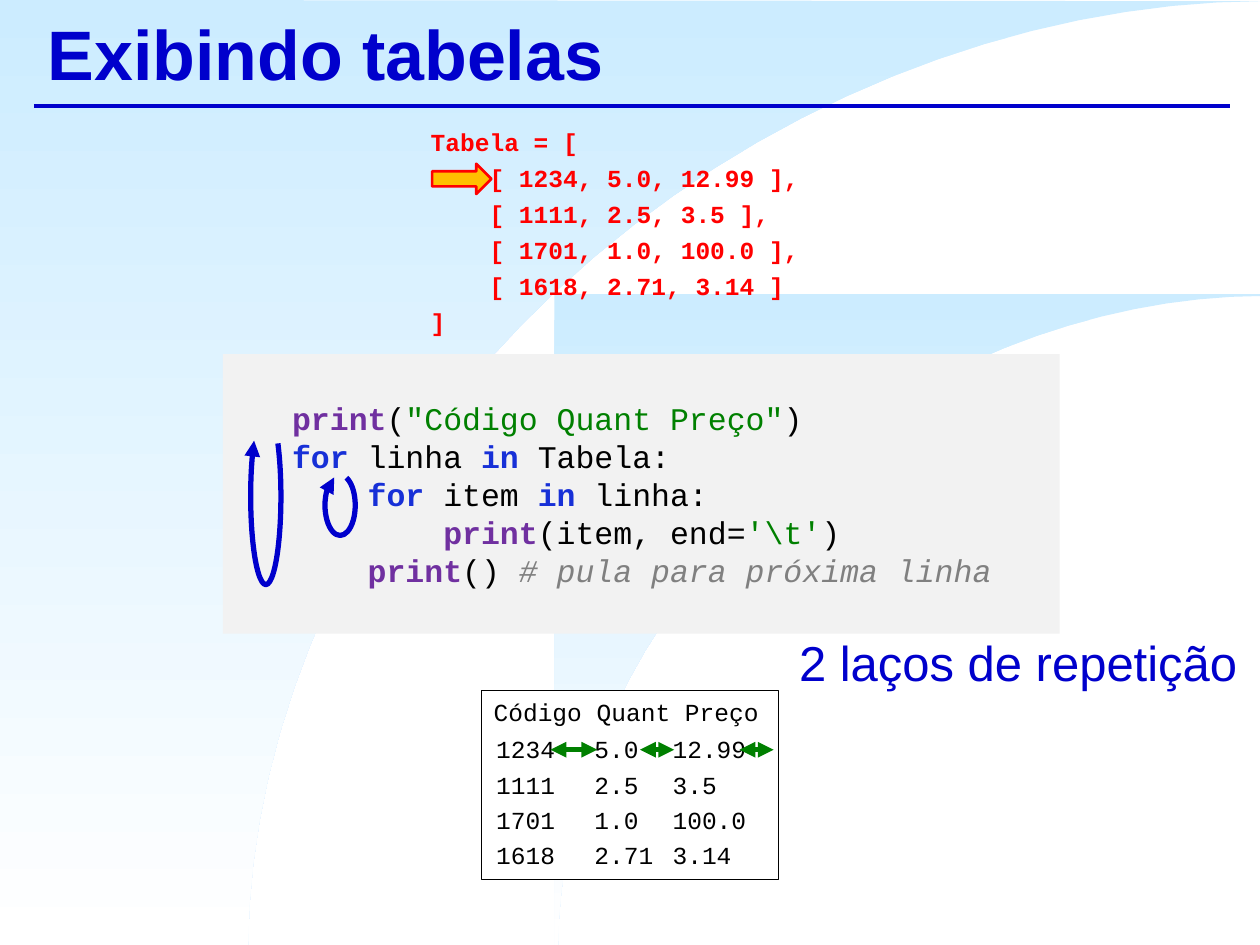
from dataclasses import dataclass
from math import cos, pi, sin

from lxml.etree import SubElement
from pptx import Presentation
from pptx.dml.color import RGBColor as RGB
from pptx.enum.shapes import MSO_CONNECTOR as LINE, MSO_SHAPE as SHAPE
from pptx.enum.text import MSO_ANCHOR as ANCHOR, PP_ALIGN as ALIGN
from pptx.oxml.ns import qn
from pptx.util import Inches, Pt


@dataclass(frozen=True)
class Theme:
    sans: str = "Arial"
    mono: str = "Courier New"
    title: int = 40
    note: int = 28
    code: int = 18
    data: int = 14
    space: float = 3.8
    blue: str = "0000CC"
    sky: str = "CCECFF"
    white: str = "FFFFFF"
    black: str = "000000"
    panel: str = "F2F2F2"
    red: str = "FF0000"
    amber: str = "FFC000"
    green: str = "008000"
    keyword: str = "1730D7"
    function: str = "7030A0"
    comment: str = "808080"


class SlideBuilder:
    def __init__(self, slide, theme):
        self.shapes = slide.shapes
        self.theme = theme

    def paint(self, shape, fill=None, line=None, width=1.0):
        shape.shadow.inherit = False
        if fill:
            shape.fill.solid()
            shape.fill.fore_color.rgb = RGB.from_string(fill)
        else:
            shape.fill.background()
        if line:
            self.stroke(shape, line, width)
        else:
            shape.line.fill.background()

    def stroke(self, shape, color, width, ends=()):
        shape.line.color.rgb = RGB.from_string(color)
        shape.line.width = Pt(width)
        for end in ends:
            SubElement(shape._element.spPr.find(qn("a:ln")), qn(f"a:{end}"), type="triangle")

    def shape(self, kind, box, **look):
        shape = self.shapes.add_shape(kind, *map(Inches, box))
        self.paint(shape, **look)
        return shape

    def curve(self, start, crest, corners):
        """Gradient area outside a rounded quarter arc."""
        steps, power = 32, 2 / 1.9
        angles = [pi / 2 * i / steps for i in range(steps + 1)]
        arc = [(10 - (10 - start) * max(cos(a), 0) ** power,
                7.5 - (7.5 - crest) * sin(a) ** power) for a in angles]
        points = [(Inches(x), Inches(y)) for x, y in arc + corners]
        outline = self.shapes.build_freeform(*points[0])
        outline.add_line_segments(points[1:], close=True)
        area = outline.convert_to_shape()
        self.paint(area)
        area.fill.gradient()
        area.fill.gradient_angle = 270
        for stop, color in zip(area.fill.gradient_stops, (self.theme.sky, self.theme.white)):
            stop.color.rgb = RGB.from_string(color)

    def line(self, start, end, color, width, ends=()):
        line = self.shapes.add_connector(LINE.STRAIGHT, *map(Inches, start + end))
        self.stroke(line, color, width, ends)
        SubElement(line._element.spPr, qn("a:effectLst"))

    def loop(self, box):
        loop = self.shape(SHAPE.ARC, box)
        loop.adjustments[0], loop.adjustments[1] = 169.71, 154.862
        self.stroke(loop, self.theme.blue, 3, ["tailEnd"])

    def fill_text(self, shape, lines, font, size, anchor=ANCHOR.TOP, align=ALIGN.LEFT, space=0):
        """Each line is (indent in characters, [(text, format), ...])."""
        frame = shape.text_frame
        frame.word_wrap = True
        frame.vertical_anchor = anchor
        for i, (indent, runs) in enumerate(lines):
            paragraph = frame.paragraphs[0] if i == 0 else frame.add_paragraph()
            paragraph.alignment = align
            paragraph.space_before = Pt(space)
            if indent:
                margin = Pt(indent * size * 0.6)  # a monospaced letter is 0.6 em wide
                paragraph._p.get_or_add_pPr().set("marL", str(margin))
            for text, look in runs:
                run = paragraph.add_run()
                run.text = text
                values = {"name": font, "size": Pt(size), "bold": False, **look}
                color = values.pop("color")
                for name, value in values.items():
                    setattr(run.font, name, value)
                run.font.color.rgb = RGB.from_string(color)

    def text(self, box, lines, font, size, **layout):
        self.fill_text(self.shapes.add_textbox(*map(Inches, box)), lines, font, size, **layout)


def main():
    theme = Theme()
    deck = Presentation()
    deck.slide_width, deck.slide_height = Inches(10), Inches(7.5)
    page = SlideBuilder(deck.slides.add_slide(deck.slide_layouts[6]), theme)
    data_layout = {"align": ALIGN.JUSTIFY, "space": theme.space}
    plain = {"color": theme.black}

    # Background curves
    page.curve(1.97, 0.01, [(0, 0), (0, 7.5)])
    page.curve(4.43, 2.35, [(10, 2.33), (4.4, 2.33), (4.4, 7.5)])

    # Title and rule
    page.line((0.27, 0.84), (9.76, 0.84), theme.blue, 2.25)
    page.text((0.28, 0, 9.5, 0.83),
              [(0, [("Exibindo tabelas", {"color": theme.blue, "bold": True})])],
              theme.sans, theme.title, anchor=ANCHOR.MIDDLE)

    # Program
    keyword = {"color": theme.keyword, "bold": True}
    function = {"color": theme.function, "bold": True}
    string = {"color": theme.green}
    comment = {"color": theme.comment, "italic": True}
    program = [
        (3, [("print", function), ("(", plain), ('"Código Quant Preço"', string), (")", plain)]),
        (3, [("for ", keyword), ("linha ", plain), ("in ", keyword), ("Tabela:", plain)]),
        (7, [("for ", keyword), ("item ", plain), ("in", keyword), (" linha:", plain)]),
        (11, [("print", function), ("(item, end=", plain), (r"'\t'", string), (")", plain)]),
        (7, [("print", function), ("() ", plain), ("# pula para próxima linha", comment)]),
    ]
    panel = page.shape(SHAPE.RECTANGLE, (1.77, 2.81, 6.64, 2.22), fill=theme.panel)
    page.fill_text(panel, program, theme.mono, theme.code, anchor=ANCHOR.MIDDLE)

    # Table literal with the current row marked
    literal = [
        (0, "Tabela = ["),
        (4, "[ 1234, 5.0, 12.99 ],"),
        (4, "[ 1111, 2.5, 3.5 ],"),
        (4, "[ 1701, 1.0, 100.0 ],"),
        (4, "[ 1618, 2.71, 3.14 ]"),
        (0, "]"),
    ]
    red_bold = {"color": theme.red, "bold": True}
    page.text((3.32, 0.96, 3.65, 1.76), [(n, [(text, red_bold)]) for n, text in literal],
              theme.mono, theme.data, **data_layout)
    page.shape(SHAPE.RIGHT_ARROW, (3.43, 1.3, 0.47, 0.24),
               fill=theme.amber, line=theme.red, width=1.5)

    # Outer and inner loop arrows
    page.loop((1.99, 3.24, 0.24, 1.4))
    page.loop((2.58, 3.77, 0.24, 0.48))

    # Printed output
    output = page.shape(SHAPE.RECTANGLE, (3.82, 5.48, 2.36, 1.5),
                        fill=theme.white, line=theme.black, width=0.75)
    page.fill_text(output, [(0, [("Código Quant Preço", plain)])],
                   theme.mono, theme.data, **data_layout)
    rows = [
        ("1234", "5.0", "12.99"),
        ("1111", "2.5", "3.5"),
        ("1701", "1.0", "100.0"),
        ("1618", "2.71", "3.14"),
    ]
    for i, row in enumerate(rows):
        for left, value in zip((3.84, 4.62, 5.24), row):
            page.text((left, 5.78 + 0.28 * i, 0.87, 0.28), [(0, [(value, plain)])],
                      theme.mono, theme.data, **data_layout)

    # Tab gaps
    for start, end in ((4.37, 4.74), (5.08, 5.35), (5.87, 6.14)):
        page.line((start, 5.95), (end, 5.95), theme.green, 3, ["headEnd", "tailEnd"])

    # Remark
    page.text((6.11, 4.97, 3.94, 0.57), [(0, [("2 laços de repetição", {"color": theme.blue})])],
              theme.sans, theme.note, align=ALIGN.CENTER)

    deck.save("out.pptx")


if __name__ == "__main__":
    main()
